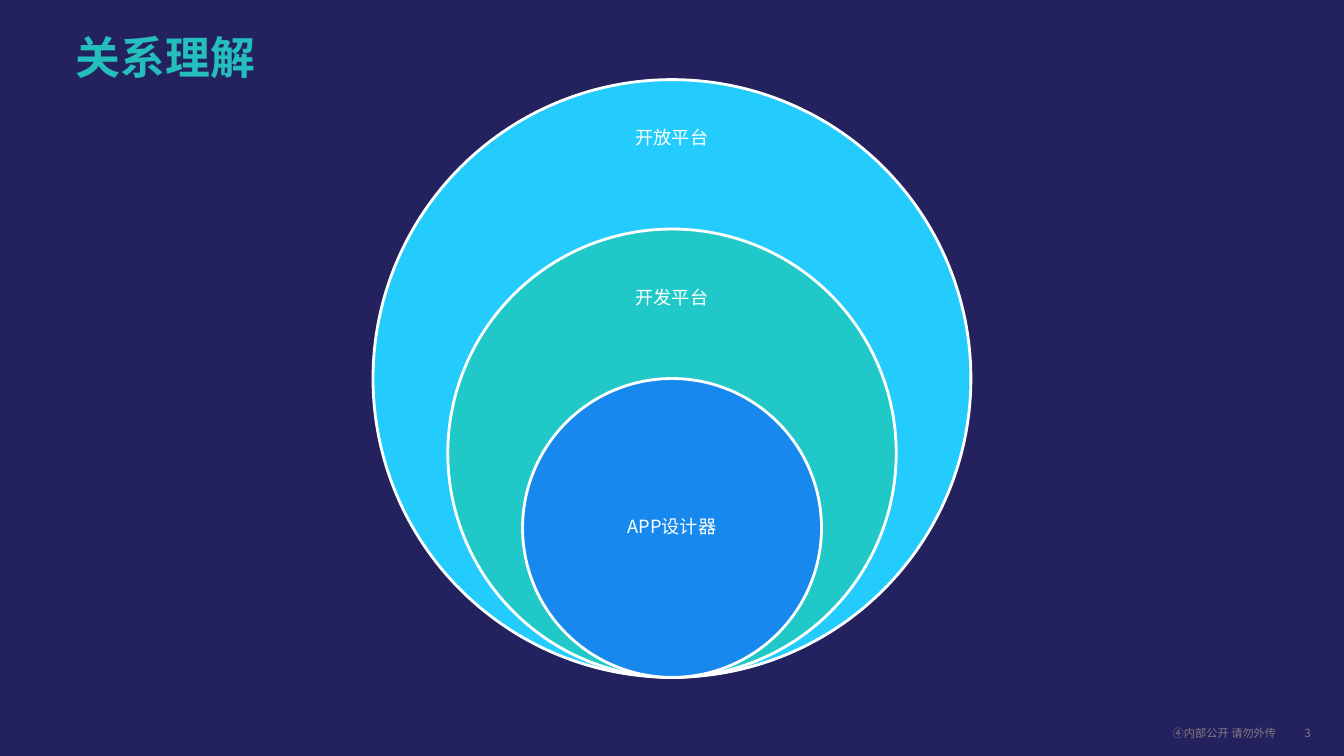
from pptx import Presentation
from pptx.dml.color import RGBColor
from pptx.enum.shapes import MSO_SHAPE as Shape
from pptx.enum.text import MSO_ANCHOR as Anchor, PP_ALIGN as Align
from pptx.util import Inches, Pt

FONT = "Noto Sans CJK SC"
NAVY, TEAL, WHITE, GREY = "24215F", "24BEBC", "FFFFFF", "837A80"
# Label, fill, label top, label height; outermost first
RINGS = [
    ("开放平台", "23CCFC", 1.08, 0.59),
    ("开发平台", "21C8C8", 2.55, 0.83),
    ("APP设计器", "1788EE", 4.49, 1.48),
]


def color(hex_value):
    return RGBColor.from_string(hex_value)


def write(frame, text, size=13, fill=WHITE, bold=False, align=Align.CENTER,
          anchor=Anchor.MIDDLE, inset=0.1, spacing=0.9):
    frame.word_wrap = True
    frame.vertical_anchor = anchor
    frame.margin_left = frame.margin_right = Inches(inset)
    frame.margin_top = frame.margin_bottom = Inches(inset / 2)
    paragraph = frame.paragraphs[0]
    paragraph.alignment = align
    paragraph.line_spacing = spacing
    run = paragraph.add_run()
    run.text = text
    run.font.size = Pt(size)
    run.font.bold = bold
    run.font.name = FONT
    run.font.color.rgb = color(fill)
    # East Asian characters take their typeface from a:ea
    east_asian = run.font._element.makeelement(
        "{http://schemas.openxmlformats.org/drawingml/2006/main}ea",
        {"typeface": FONT})
    run.font._element.append(east_asian)


def add_label(slide, text, left, top, width, height, **style):
    box = slide.shapes.add_textbox(
        Inches(left), Inches(top), Inches(width), Inches(height))
    write(box.text_frame, text, **style)


def add_title(slide, text, left, top, width, height):
    title = slide.shapes.title
    title.left, title.top = Inches(left), Inches(top)
    title.width, title.height = Inches(width), Inches(height)
    write(title.text_frame, text, size=32, fill=TEAL, bold=True,
          align=Align.LEFT, anchor=Anchor.TOP)


def add_nested_circles(slide, left, top, size):
    """Circles share their lowest point; each shrinks by a quarter of size."""
    center, bottom = left + size / 2, top + size
    label_width = 2.1
    for level, (text, fill, label_top, label_height) in enumerate(RINGS):
        diameter = size * (1 - level / 4)
        circle = slide.shapes.add_shape(
            Shape.OVAL, Inches(center - diameter / 2),
            Inches(bottom - diameter), Inches(diameter), Inches(diameter))
        circle.shadow.inherit = False
        circle.fill.solid()
        circle.fill.fore_color.rgb = color(fill)
        circle.line.color.rgb = color(WHITE)
        circle.line.width = Pt(2)
        add_label(slide, text, center - label_width / 2, label_top,
                  label_width, label_height)


def add_footer(slide, left, top, width, height):
    number_width = 0.34
    note_width = width - number_width
    style = dict(size=8, fill=GREY, align=Align.RIGHT, inset=0, spacing=1)
    add_label(slide, "④内部公开 请勿外传", left, top, note_width, height, **style)
    add_label(slide, "3", left + note_width, top, number_width, height, **style)


def main():
    deck = Presentation()
    deck.slide_width, deck.slide_height = Inches(13.33), Inches(7.5)
    slide = deck.slides.add_slide(deck.slide_layouts[5])
    slide.background.fill.solid()
    slide.background.fill.fore_color.rgb = color(NAVY)

    add_footer(slide, 11.33, 7.21, 1.67, 0.13)
    add_nested_circles(slide, 3.7, 0.79, 5.93)
    add_title(slide, "关系理解", 0.65, 0.3, 4, 0.77)
    deck.save("out.pptx")


if __name__ == "__main__":
    main()
